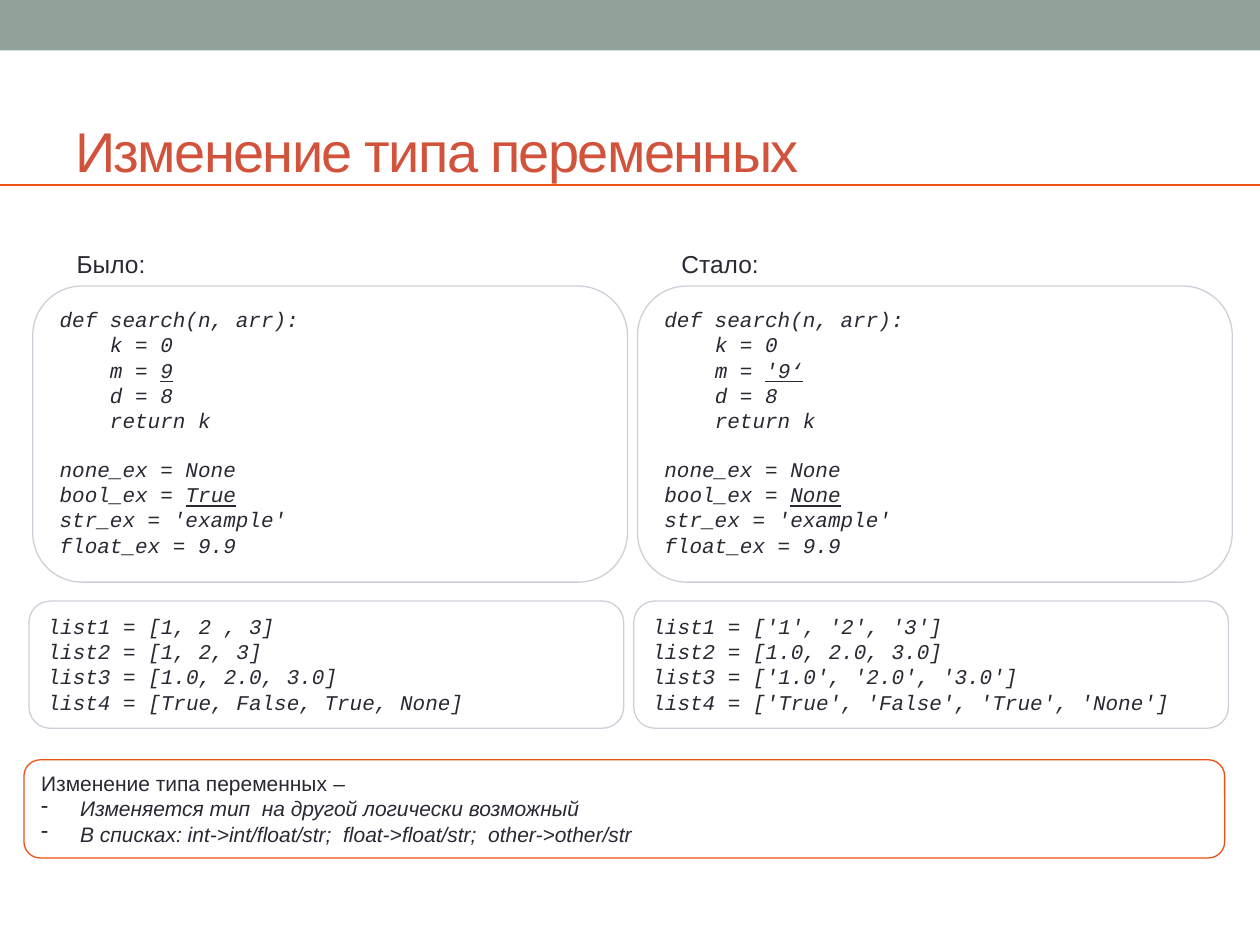
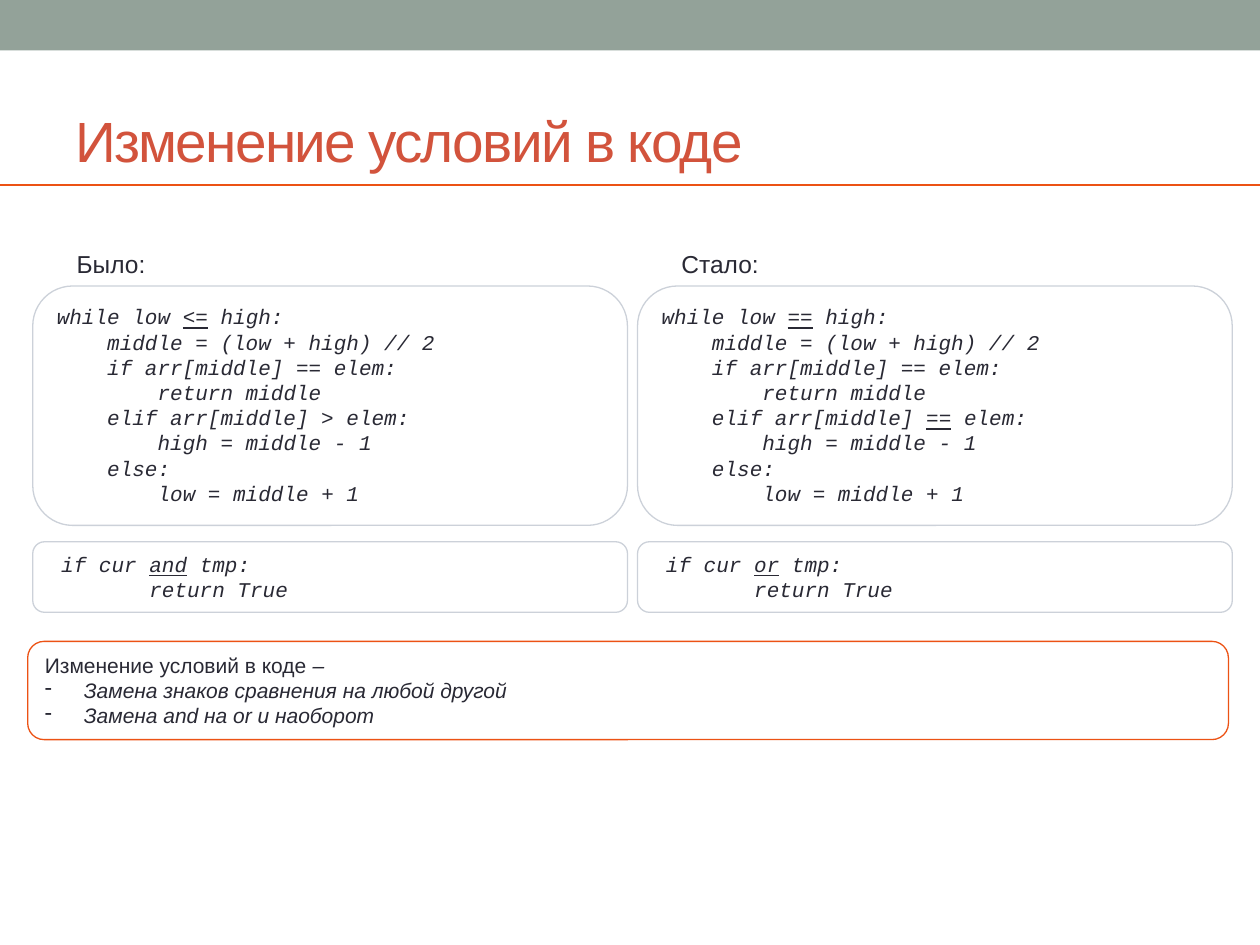
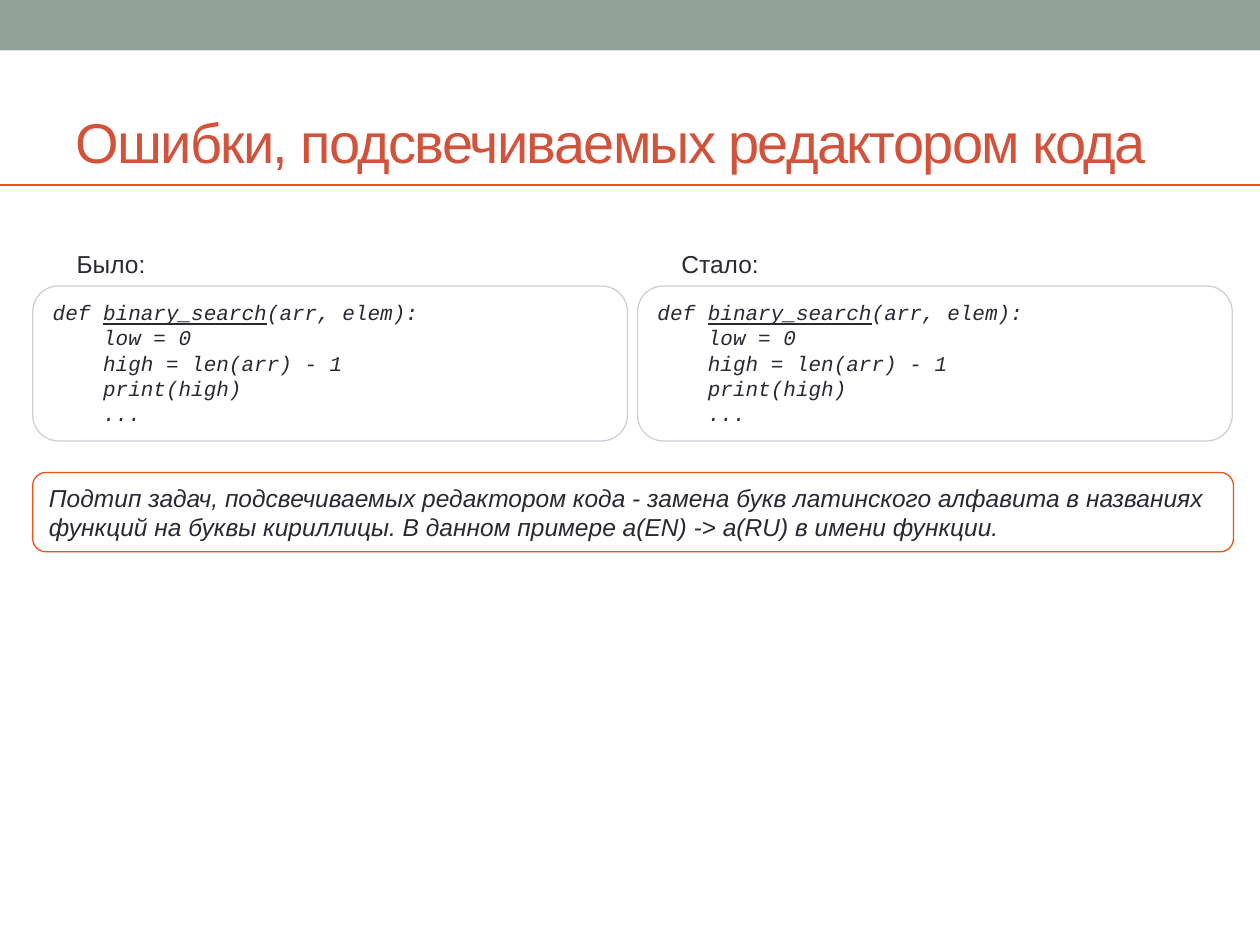
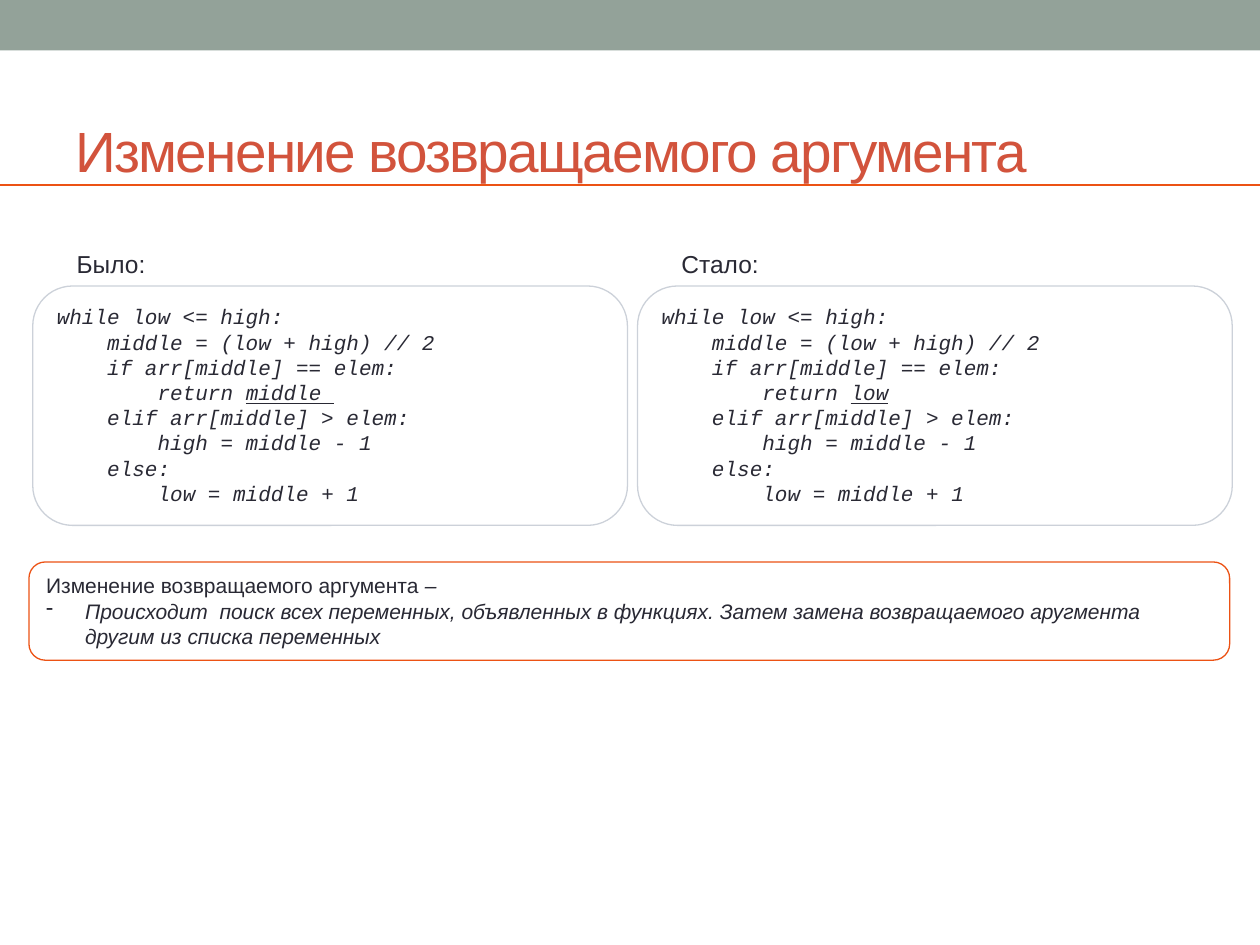
from dataclasses import dataclass
from lxml.etree import SubElement
from pptx import Presentation
from pptx.dml.color import RGBColor
from pptx.enum.shapes import MSO_CONNECTOR, MSO_SHAPE
from pptx.enum.text import MSO_ANCHOR, MSO_AUTO_SIZE, PP_ALIGN
from pptx.oxml.ns import qn
from pptx.shapes.autoshape import Shape
from pptx.slide import Slide
from pptx.text.text import TextFrame
from pptx.util import Inches, Pt

SAGE = RGBColor(0x93, 0xA2, 0x99)
RUST = RGBColor(0xD2, 0x53, 0x3C)
ORANGE = RGBColor(0xEC, 0x52, 0x14)
PALE = RGBColor(0xCC, 0xD1, 0xD9)
INK = RGBColor(0x29, 0x29, 0x34)
SANS = "Arial"
MONO = "Courier New"
WIDE = 10
SHIFT = 4.8
CELL = 0.1
HANG = 0.31
ROW = 13.6
MARK = "~"


@dataclass
class Title:
    text: str
    top: float
    size: float = 32
    anchor: MSO_ANCHOR = MSO_ANCHOR.MIDDLE
    space: float = 1.0


@dataclass
class Pair:
    left: float
    top: float
    high: float
    old: str
    new: str


@dataclass
class Note:
    left: float
    top: float
    high: float
    head: str
    items: tuple[str, ...] = ()


@dataclass
class Page:
    title: Title
    pairs: list[Pair]
    note: Note


def style(frame: TextFrame, face: str, size: float, color: RGBColor) -> None:
    for para in frame.paragraphs:
        for run in para.runs:
            run.font.name = face
            run.font.size = Pt(size)
            run.font.color.rgb = color


def add_label(slide: Slide, left: float, text: str) -> None:
    box = slide.shapes.add_textbox(Inches(left), Inches(1.93), Inches(1.1), Inches(0.34))
    box.text_frame.word_wrap = True
    box.text_frame.text = text
    style(box.text_frame, SANS, 14, INK)


def add_title(slide: Slide, title: Title) -> None:
    box = slide.shapes.add_textbox(Inches(0.5), Inches(title.top), Inches(9), Inches(1.08))
    frame = box.text_frame
    frame.word_wrap = True
    frame.vertical_anchor = title.anchor
    if title.anchor == MSO_ANCHOR.TOP:
        frame.margin_top = 0
    frame.text = title.text
    para = frame.paragraphs[0]
    para.line_spacing = title.space
    style(frame, SANS, title.size, RUST)
    para.runs[0].font._element.set("spc", "-100")


def add_base(slide: Slide, title: Title) -> None:
    band = slide.shapes.add_shape(MSO_SHAPE.RECTANGLE, 0, 0, Inches(WIDE), Inches(0.4))
    band.shadow.inherit = False
    band.fill.solid()
    band.fill.fore_color.rgb = SAGE
    band.line.fill.background()
    add_title(slide, title)
    rule = slide.shapes.add_connector(
        MSO_CONNECTOR.STRAIGHT, 0, Inches(1.47), Inches(WIDE), Inches(1.47))
    rule.line.color.rgb = ORANGE
    rule.line.width = Pt(1.5)
    SubElement(rule._element.spPr, qn("a:effectLst"))
    add_label(slide, 0.51, "Было:")
    add_label(slide, 0.51 + SHIFT, "Стало:")


def add_box(slide: Slide, left: float, top: float, wide: float, high: float,
            color: RGBColor) -> Shape:
    box = slide.shapes.add_shape(
        MSO_SHAPE.FLOWCHART_ALTERNATE_PROCESS,
        Inches(left), Inches(top), Inches(wide), Inches(high))
    box.shadow.inherit = False
    box.fill.background()
    box.line.color.rgb = color
    box.line.width = Pt(0.75)
    frame = box.text_frame
    frame.word_wrap = True
    frame.auto_size = MSO_AUTO_SIZE.SHAPE_TO_FIT_TEXT
    frame.vertical_anchor = MSO_ANCHOR.TOP
    return box


def add_code(slide: Slide, left: float, pair: Pair, code: str) -> None:
    frame = add_box(slide, left, pair.top, 4.72, pair.high, PALE).text_frame
    para = frame.paragraphs[0]
    gap = False
    for num, line in enumerate(code.strip("\n").split("\n")):
        if not line:
            gap = True
            continue
        if num:
            para = frame.add_paragraph()
        para.alignment = PP_ALIGN.LEFT
        if gap:
            para.space_before = Pt(ROW)
            gap = False
        body = line.lstrip()
        depth = len(line) - len(body)
        if depth:
            props = para._p.get_or_add_pPr()
            props.set("marL", str(Inches(depth * CELL)))
            props.set("indent", "0")
        for spot, part in enumerate(body.split(MARK)):
            if part:
                run = para.add_run()
                run.text = part
                run.font.italic = True
                run.font.underline = spot % 2 == 1
    style(frame, MONO, 12, INK)


def add_note(slide: Slide, note: Note) -> None:
    frame = add_box(slide, note.left, note.top, 9.53, note.high, ORANGE).text_frame
    frame.text = note.head
    head = frame.paragraphs[0]
    head.alignment = PP_ALIGN.LEFT
    head.runs[0].font.italic = not note.items
    if note.items:
        dash = head.add_run()
        dash.text = "–"
        dash.font.italic = True
    for item in note.items:
        para = frame.add_paragraph()
        para.text = item
        para.alignment = PP_ALIGN.LEFT
        para.runs[0].font.italic = True
        props = para._p.get_or_add_pPr()
        props.set("marL", str(Inches(HANG)))
        props.set("indent", str(-Inches(HANG)))
        SubElement(props, qn("a:buChar")).set("char", "-")
    style(frame, SANS, 12 if note.items else 14, INK)


def types(num: str, flag: str) -> str:
    return f"""
def search(n, arr):
    k = 0
    m = ~{num}~
    d = 8
    return k

none_ex = None
bool_ex = ~{flag}~
str_ex = 'example'
float_ex = 9.9
"""


def loop(test: str = "<=", back: str = "middle", sign: str = ">") -> str:
    return f"""
while low {test} high:
    middle = (low + high) // 2
    if arr[middle] == elem:
        return {back}
    elif arr[middle] {sign} elem:
        high = middle - 1
    else:
        low = middle + 1
"""


def branch(word: str) -> str:
    return f" if cur ~{word}~ tmp:\n        return True"


LISTS = """
list1 = [1, 2 , 3]
list2 = [1, 2, 3]
list3 = [1.0, 2.0, 3.0]
list4 = [True, False, True, None]
"""
CASTS = """
list1 = ['1', '2', '3']
list2 = [1.0, 2.0, 3.0]
list3 = ['1.0', '2.0', '3.0']
list4 = ['True', 'False', 'True', 'None']
"""
SEARCH = """
def ~binary_search~(arr, elem):
    low = 0
    high = len(arr) - 1
    print(high)
    ...
"""

PAGES = [
    Page(
        Title("Изменение типа переменных", 0.52, space=1.5),
        [Pair(0.26, 2.27, 2.35, types("9", "True"), types("'9‘", "None")),
         Pair(0.23, 4.77, 1.01, LISTS, CASTS)],
        Note(0.19, 6.03, 0.78, "Изменение типа переменных ", (
            "Изменяется тип  на другой логически возможный",
            "В списках: int->int/float/str;  float->float/str;  other->other/str")),
    ),
    Page(
        Title("Изменение условий в коде", 0.84, 32.4, MSO_ANCHOR.TOP),
        [Pair(0.26, 2.27, 1.9, loop("~<=~"), loop("~==~", sign="~==~")),
         Pair(0.26, 4.3, 0.56, branch("and"), branch("or"))],
        Note(0.22, 5.09, 0.78, "Изменение условий в коде ", (
            "Замена знаков сравнения на любой другой",
            "Замена and на or и наоборот")),
    ),
    Page(
        Title("Ошибки, подсвечиваемых редактором кода", 0.58),
        [Pair(0.26, 2.27, 1.23, SEARCH, SEARCH)],
        Note(0.26, 3.75, 0.63,
             "Подтип задач, подсвечиваемых редактором кода - замена букв латинского "
             "алфавита в названиях функций на буквы кириллицы. В данном примере "
             "a(EN) -> а(RU) в имени функции."),
    ),
    Page(
        Title("Изменение возвращаемого аргумента", 0.92, 32.4, MSO_ANCHOR.TOP),
        [Pair(0.26, 2.27, 1.9, loop(back="~middle ~"), loop(back="~low~"))],
        Note(0.23, 4.46, 0.78, "Изменение возвращаемого аргумента ", (
            "Происходит  поиск всех переменных, объявленных в функциях. Затем замена "
            "возвращаемого аругмента другим из списка переменных",)),
    ),
]


def main() -> None:
    deck = Presentation()
    deck.slide_width = Inches(WIDE)
    deck.slide_height = Inches(7.5)
    for page in PAGES:
        slide = deck.slides.add_slide(deck.slide_layouts[6])
        add_base(slide, page.title)
        for pair in page.pairs:
            add_code(slide, pair.left, pair, pair.old)
            add_code(slide, pair.left + SHIFT, pair, pair.new)
        add_note(slide, page.note)
    deck.save("out.pptx")


if __name__ == "__main__":
    main()
